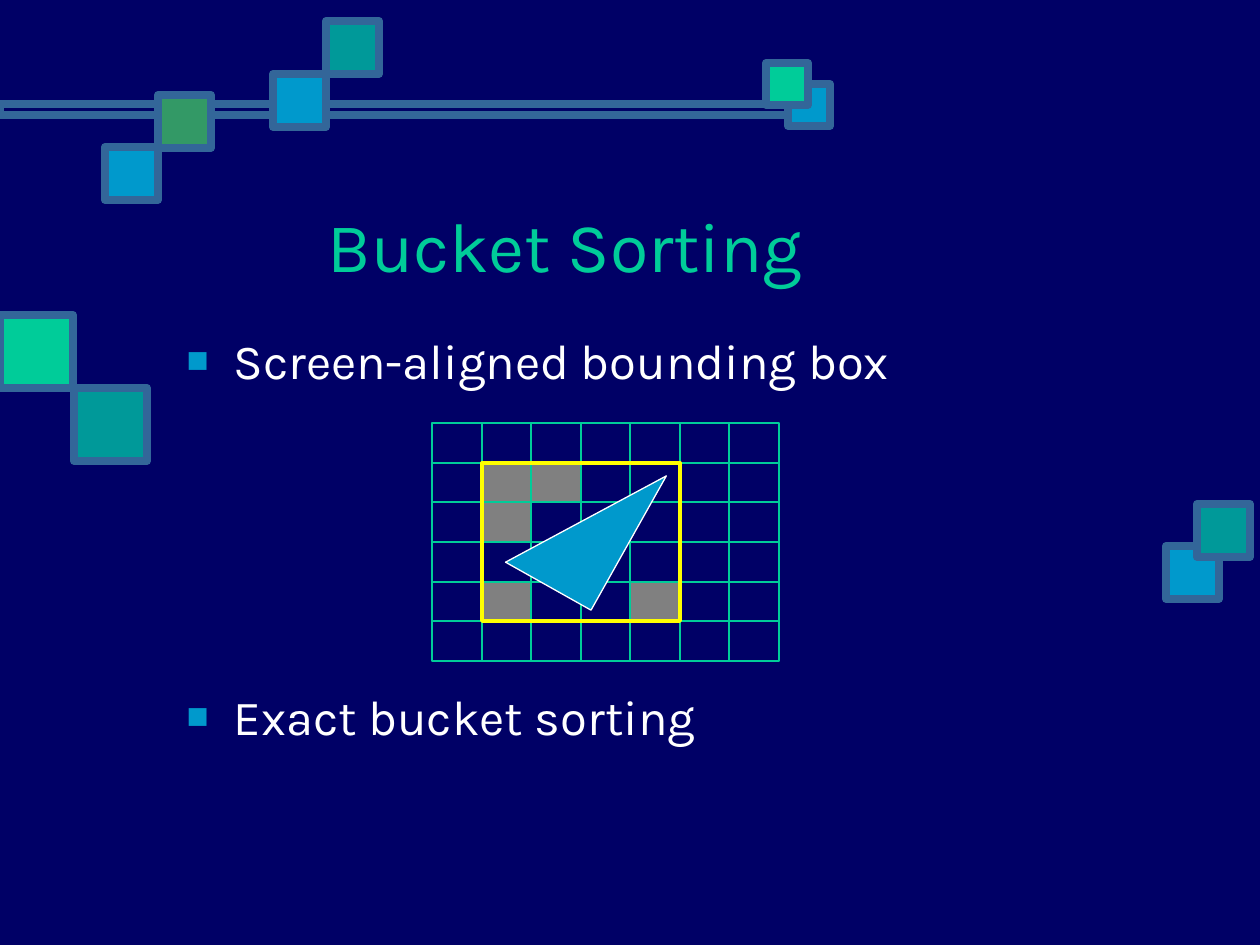
import dataclasses
import typing

import lxml.etree
import pptx
import pptx.dml.color
import pptx.enum.shapes
import pptx.enum.text
import pptx.oxml.ns
import pptx.util

EMU_PER_PX = 914400 / 126
FONT = "Karla"
NAVY, STEEL, BLUE, TEAL = "000066", "336699", "0099CC", "009999"
MINT, GREEN, GRAY, YELLOW, WHITE = "00CC99", "339966", "808080", "FFFF00", "FFFFFF"

RECTANGLE = pptx.enum.shapes.MSO_SHAPE.RECTANGLE
RIGHT_TRIANGLE = pptx.enum.shapes.MSO_SHAPE.RIGHT_TRIANGLE
ALIGN = pptx.enum.text.PP_ALIGN
ANCHOR = pptx.enum.text.MSO_ANCHOR

GRID_LEFT, GRID_TOP, GRID_WIDTH, GRID_HEIGHT = 432, 423, 347, 238
COLUMNS, ROWS = 7, 6
EMPTY_CELLS = {(1, 1), (1, 2), (2, 1), (4, 1), (4, 4)}


@dataclasses.dataclass(frozen=True)
class Square:
    """A bordered decoration square, in px."""

    left: int
    top: int
    size: int
    fill: str


SQUARES = [
    Square(788, 84, 42, BLUE),
    Square(766, 63, 42, MINT),
    Square(1166, 546, 53, BLUE),
    Square(1197, 504, 53, TEAL),
    Square(0, 315, 73, MINT),
    Square(74, 388, 73, TEAL),
    Square(273, 74, 53, BLUE),
    Square(105, 147, 53, BLUE),
    Square(158, 95, 53, GREEN),
    Square(326, 21, 53, TEAL),
]


def px(length: int) -> pptx.util.Emu:
    return pptx.util.Emu(round(length * EMU_PER_PX))


def color(value: str) -> pptx.dml.color.RGBColor:
    return pptx.dml.color.RGBColor.from_string(value)


def place(shape: typing.Any, left: int, top: int, width: int, height: int) -> None:
    shape.left, shape.top = px(left), px(top)
    shape.width, shape.height = px(width), px(height)


def add_shape(slide: typing.Any, kind: typing.Any, left: int, top: int, width: int,
              height: int, line: str, weight: float, fill: str | None = None,
              rotation: float = 0) -> None:
    shape = slide.shapes.add_shape(kind, px(left), px(top), px(width), px(height))
    shape.shadow.inherit = False
    shape.rotation = rotation
    shape.line.color.rgb = color(line)
    shape.line.width = pptx.util.Pt(weight)
    if fill:
        shape.fill.solid()
        shape.fill.fore_color.rgb = color(fill)
    else:
        shape.fill.background()


def add_bullet(paragraph: typing.Any, fill: str, indent: int) -> None:
    properties = paragraph._p.get_or_add_pPr()
    properties.set("marL", str(px(indent)))
    properties.set("indent", str(-px(indent)))
    qn = pptx.oxml.ns.qn
    bullet_color = lxml.etree.SubElement(properties, qn("a:buClr"))
    lxml.etree.SubElement(bullet_color, qn("a:srgbClr"), val=fill)
    lxml.etree.SubElement(properties, qn("a:buSzPct"), val="75000")
    lxml.etree.SubElement(properties, qn("a:buChar"), char="■")


def write(paragraph: typing.Any, text: str, *, size: int, fill: str,
          align: typing.Any = ALIGN.LEFT, before: int = 0,
          bullet: str | None = None) -> None:
    if bullet:
        add_bullet(paragraph, bullet, 47)
    paragraph.alignment = align
    paragraph.space_before = pptx.util.Pt(before)
    run = paragraph.add_run()
    run.text = text
    run.font.name = FONT
    run.font.size = pptx.util.Pt(size)
    run.font.color.rgb = color(fill)


def prepare_frame(placeholder: typing.Any, anchor: typing.Any) -> typing.Any:
    frame = placeholder.text_frame
    frame.word_wrap = True
    frame.auto_size = pptx.enum.text.MSO_AUTO_SIZE.NONE
    frame.vertical_anchor = anchor
    return frame


def add_texts(slide: typing.Any) -> None:
    title, body = slide.placeholders
    place(title, 213, 145, 704, 199)
    write(prepare_frame(title, ANCHOR.MIDDLE).paragraphs[0], "Bucket Sorting",
          size=40, fill=MINT, align=ALIGN.CENTER)
    place(body, 174, 324, 977, 525)
    frame = prepare_frame(body, ANCHOR.TOP)
    write(frame.paragraphs[0], "Screen-aligned bounding box",
          size=28, fill=WHITE, bullet=BLUE)
    write(frame.add_paragraph(), "Exact bucket sorting",
          size=28, fill=WHITE, bullet=BLUE, before=170)


def add_decoration(slide: typing.Any) -> None:
    add_shape(slide, RECTANGLE, 0, 104, 809, 11, STEEL, 4.5)
    for square in SQUARES:
        add_shape(slide, RECTANGLE, square.left, square.top, square.size, square.size,
                  STEEL, 4.5, square.fill)


def add_grid(slide: typing.Any) -> None:
    lefts = [GRID_LEFT + round(GRID_WIDTH * column / COLUMNS) for column in range(COLUMNS + 1)]
    tops = [GRID_TOP + round(GRID_HEIGHT * row / ROWS) for row in range(ROWS + 1)]
    for row in range(ROWS):
        for column in range(COLUMNS):
            add_shape(slide, RECTANGLE, lefts[column], tops[row],
                      lefts[column + 1] - lefts[column], tops[row + 1] - tops[row],
                      MINT, 0.75, GRAY if (row, column) in EMPTY_CELLS else None)
    add_shape(slide, RECTANGLE, lefts[1], tops[1], lefts[5] - lefts[1],
              tops[5] - tops[1], YELLOW, 2.25)
    add_shape(slide, RIGHT_TRIANGLE, 509, 470, 154, 98, WHITE, 0.75, BLUE, 299.3)


def main() -> None:
    """Build the bucket sorting slide."""
    presentation = pptx.Presentation()
    presentation.slide_width, presentation.slide_height = px(1260), px(945)
    slide = presentation.slides.add_slide(presentation.slide_layouts[1])
    slide.background.fill.solid()
    slide.background.fill.fore_color.rgb = color(NAVY)
    add_decoration(slide)
    add_texts(slide)
    add_grid(slide)
    presentation.save("out.pptx")


if __name__ == "__main__":
    main()
